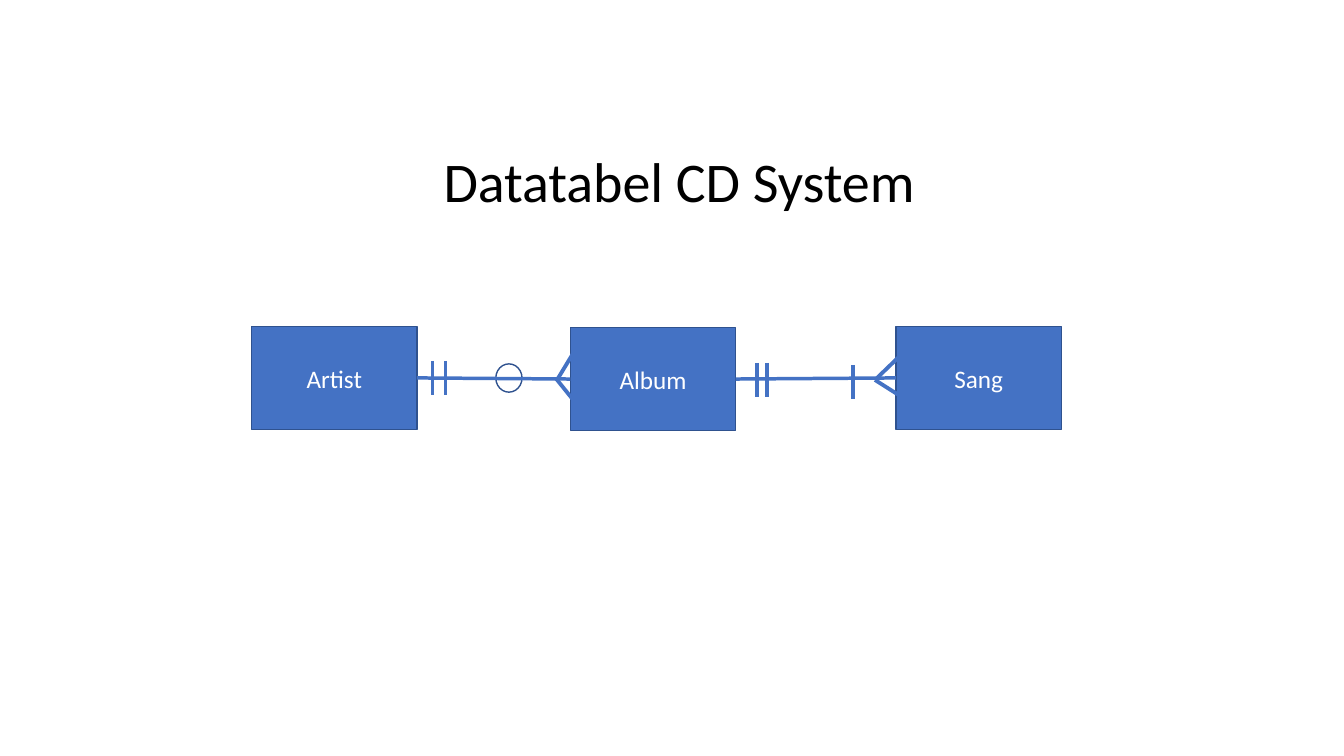
"""Build the entity diagram of the CD system."""
from dataclasses import dataclass

from lxml.etree import SubElement
from pptx import Presentation
from pptx.dml.color import RGBColor
from pptx.enum.shapes import MSO_CONNECTOR, MSO_SHAPE
from pptx.enum.text import MSO_ANCHOR, MSO_AUTO_SIZE, PP_ALIGN
from pptx.oxml.ns import qn
from pptx.shapes.autoshape import Shape
from pptx.shapes.connector import Connector
from pptx.slide import Slide
from pptx.text.text import TextFrame
from pptx.util import Pt


@dataclass(frozen=True)
class Theme:
    font: str = "Calibri"
    title_size: float = 40
    entity_size: float = 18
    black: RGBColor = RGBColor(0, 0, 0)
    white: RGBColor = RGBColor(255, 255, 255)
    blue: RGBColor = RGBColor(0x44, 0x72, 0xC4)
    outline: RGBColor = RGBColor(0x2F, 0x52, 0x8F)
    outline_width: float = 1
    relation_width: float = 2.5
    mark_width: float = 2.75


@dataclass(frozen=True)
class Entity:
    name: str
    left: float
    top: float


@dataclass(frozen=True)
class Bar:
    x: float
    top: float


@dataclass(frozen=True)
class Stroke:
    x1: float
    y1: float
    x2: float
    y2: float


THEME = Theme()
ENTITY_W, ENTITY_H = 118, 73.5
BAR_H = 24.5
ENTITIES = [
    Entity("Artist", 179.8, 233.2),
    Entity("Album", 407.5, 234),
    Entity("Sang", 640.1, 233.2),
]
BARS = [
    Bar(308.9, 257.8),
    Bar(318.2, 257.8),
    Bar(540.7, 259.2),
    Bar(547.9, 259.2),
    Bar(609.1, 260.6),
]
CROW_FEET = [
    Stroke(411.8, 248.4, 397.4, 272.2),
    Stroke(397.4, 270.7, 409, 285.1),
    Stroke(646.6, 250.6, 625, 271.4),
    Stroke(625, 271.4, 646.6, 285.1),
]


def format_text(tf: TextFrame, size: float, color: RGBColor, align: PP_ALIGN) -> None:
    for p in tf.paragraphs:
        p.alignment = align
        for r in p.runs:
            r.font.name = THEME.font
            r.font.size = Pt(size)
            r.font.color.rgb = color


def add_outlined(s: Slide, kind: MSO_SHAPE, x: float, y: float, w: float, h: float) -> Shape:
    sp = s.shapes.add_shape(kind, Pt(x), Pt(y), Pt(w), Pt(h))
    sp.shadow.inherit = False
    sp.line.color.rgb = THEME.outline
    sp.line.width = Pt(THEME.outline_width)
    return sp


def add_entity(s: Slide, entity: Entity) -> Shape:
    sp = add_outlined(s, MSO_SHAPE.RECTANGLE, entity.left, entity.top, ENTITY_W, ENTITY_H)
    sp.fill.solid()
    sp.fill.fore_color.rgb = THEME.blue
    tf = sp.text_frame
    tf.text = entity.name
    tf.vertical_anchor = MSO_ANCHOR.MIDDLE
    format_text(tf, THEME.entity_size, THEME.white, PP_ALIGN.CENTER)
    return sp


def add_stroke(s: Slide, stroke: Stroke, width: float) -> Connector:
    line = s.shapes.add_connector(
        MSO_CONNECTOR.STRAIGHT,
        Pt(stroke.x1), Pt(stroke.y1), Pt(stroke.x2), Pt(stroke.y2),
    )
    line.line.color.rgb = THEME.blue
    line.line.width = Pt(width)
    SubElement(line._element.spPr, qn("a:effectLst"))
    return line


def add_relation(s: Slide, start: Shape, end: Shape) -> None:
    line = add_stroke(s, Stroke(0, 0, 0, 0), THEME.relation_width)
    line.begin_connect(start, 3)
    line.end_connect(end, 1)


def add_title(s: Slide, text: str) -> None:
    title = s.shapes.title
    title.left, title.top, title.width, title.height = Pt(309.6), Pt(100.8), Pt(629.3), Pt(55.4)
    tf = title.text_frame
    tf.text = text
    tf.word_wrap = True
    tf.auto_size = MSO_AUTO_SIZE.NONE
    tf.vertical_anchor = MSO_ANCHOR.TOP
    format_text(tf, THEME.title_size, THEME.black, PP_ALIGN.LEFT)


def main() -> None:
    prs = Presentation()
    prs.slide_width, prs.slide_height = Pt(960), Pt(540)
    s = prs.slides.add_slide(prs.slide_layouts[5])
    add_title(s, "Datatabel CD System")
    boxes = [add_entity(s, entity) for entity in ENTITIES]
    optional = add_outlined(s, MSO_SHAPE.OVAL, 354.2, 259.9, 18.7, 20.2)
    optional.fill.background()
    for start, end in zip(boxes, boxes[1:]):
        add_relation(s, start, end)
    bars = [Stroke(bar.x, bar.top, bar.x, bar.top + BAR_H) for bar in BARS]
    for stroke in bars + CROW_FEET:
        add_stroke(s, stroke, THEME.mark_width)
    prs.save("out.pptx")


if __name__ == "__main__":
    main()
